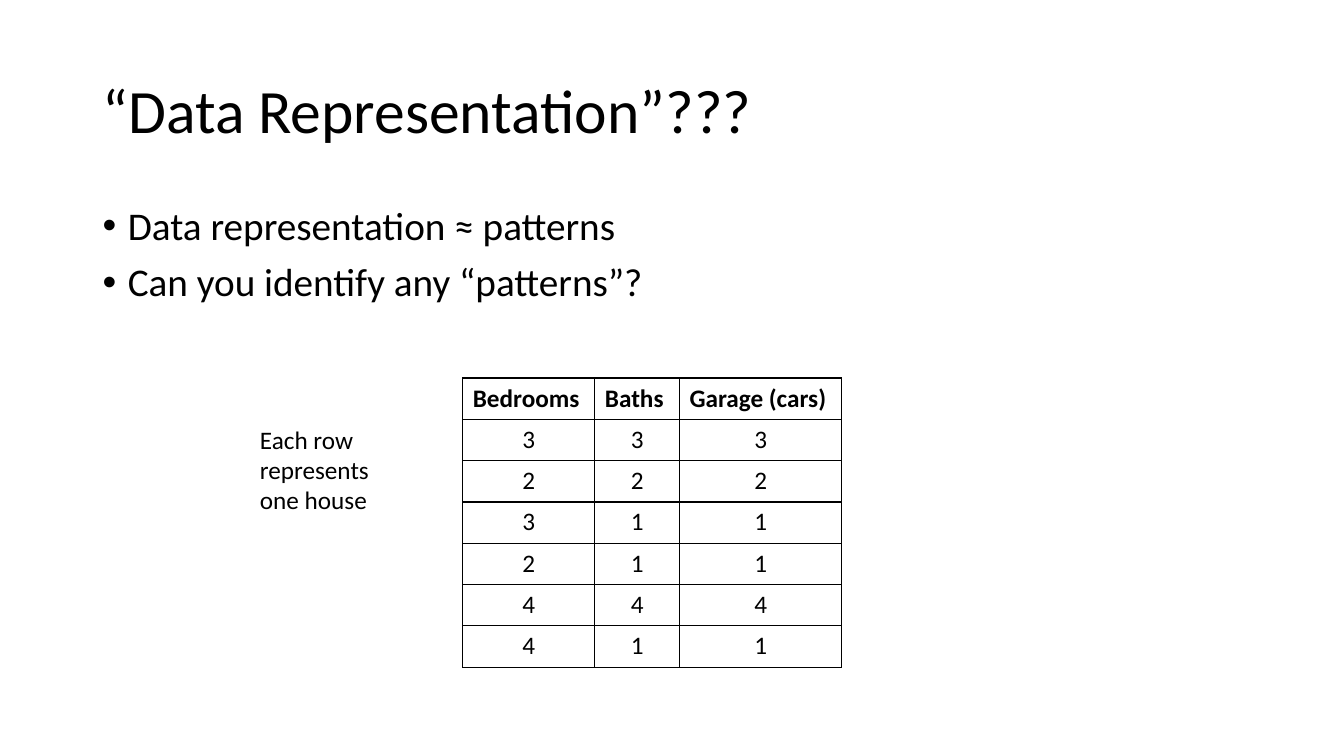
from lxml import etree
from pptx import Presentation
from pptx.dml.color import RGBColor
from pptx.enum.text import MSO_ANCHOR, PP_ALIGN
from pptx.oxml.ns import qn
from pptx.util import Inches, Pt

MIDDLE, TOP = MSO_ANCHOR.MIDDLE, MSO_ANCHOR.TOP
CENTER, LEFT = PP_ALIGN.CENTER, PP_ALIGN.LEFT
COLORS = {"ink": "000000", "paper": "FFFFFF"}
FONT = "Calibri"
WIDTH, HEIGHT = 13.33, 7.5

POINTS = ["Data representation ≈ patterns", "Can you identify any “patterns”?"]
HEADS = ["Bedrooms", "Baths", "Garage (cars)"]
HOUSES = [(3, 3, 3), (2, 2, 2), (3, 1, 1), (2, 1, 1), (4, 4, 4), (4, 1, 1)]
COLS = [1.31, 0.84, 1.61]
ROW = 0.41


def style(para, size, bold=False):
    font = para.font
    font.name, font.size, font.bold = FONT, Pt(size), bold
    font.color.rgb = RGBColor.from_string(COLORS["ink"])


def add_text(slide, box, lines, size, anchor=TOP):
    frame = slide.shapes.add_textbox(*map(Inches, box)).text_frame
    frame.word_wrap = True
    frame.vertical_anchor = anchor
    frame.text = "\n".join(lines)
    for para in frame.paragraphs:
        style(para, size)
    return frame


def add_title(slide, box):
    frame = add_text(slide, box, ["“Data Representation”???"], 44, MIDDLE)
    frame.paragraphs[0].line_spacing = 0.9


def add_points(slide, box):
    for para in add_text(slide, box, POINTS, 28).paragraphs:
        para.line_spacing = 0.9
        para.space_before = Pt(10)
        props = para._p.get_or_add_pPr()
        props.set("marL", str(Inches(0.25)))
        props.set("indent", str(-Inches(0.25)))
        face = etree.Element(qn("a:buFont"), typeface="Arial")
        mark = etree.Element(qn("a:buChar"), char="•")
        props.find(qn("a:spcBef")).addnext(face)
        face.addnext(mark)


def add_edges(cell):
    props = cell._tc.get_or_add_tcPr()
    for spot, side in enumerate(("lnL", "lnR", "lnT", "lnB")):
        line = etree.Element(qn("a:" + side), w=str(Pt(1)))
        fill = etree.SubElement(line, qn("a:solidFill"))
        etree.SubElement(fill, qn("a:srgbClr"), val=COLORS["ink"])
        props.insert(spot, line)


def add_houses(slide, box):
    data = [HEADS] + HOUSES
    table = slide.shapes.add_table(len(data), len(HEADS), *map(Inches, box)).table
    for col, width in zip(table.columns, COLS):
        col.width = Inches(width)
    for row, values in zip(table.rows, data):
        row.height = Inches(ROW)
        head = values is HEADS
        for cell, value in zip(row.cells, values):
            cell.text = str(value)
            para = cell.text_frame.paragraphs[0]
            style(para, 18, head)
            para.alignment = LEFT if head else CENTER
            cell.fill.solid()
            cell.fill.fore_color.rgb = RGBColor.from_string(COLORS["paper"])
            add_edges(cell)


def main():
    deck = Presentation()
    deck.slide_width, deck.slide_height = Inches(WIDTH), Inches(HEIGHT)
    slide = deck.slides.add_slide(deck.slide_layouts[6])
    add_title(slide, (0.92, 0.4, 11.5, 1.45))
    add_houses(slide, (4.59, 3.75, sum(COLS), ROW * (len(HOUSES) + 1)))
    add_points(slide, (0.92, 2, 11.5, 4.76))
    add_text(slide, (2.48, 4.16, 1.59, 1.01), ["Each row represents one house"], 18)
    deck.save("out.pptx")


if __name__ == "__main__":
    main()
